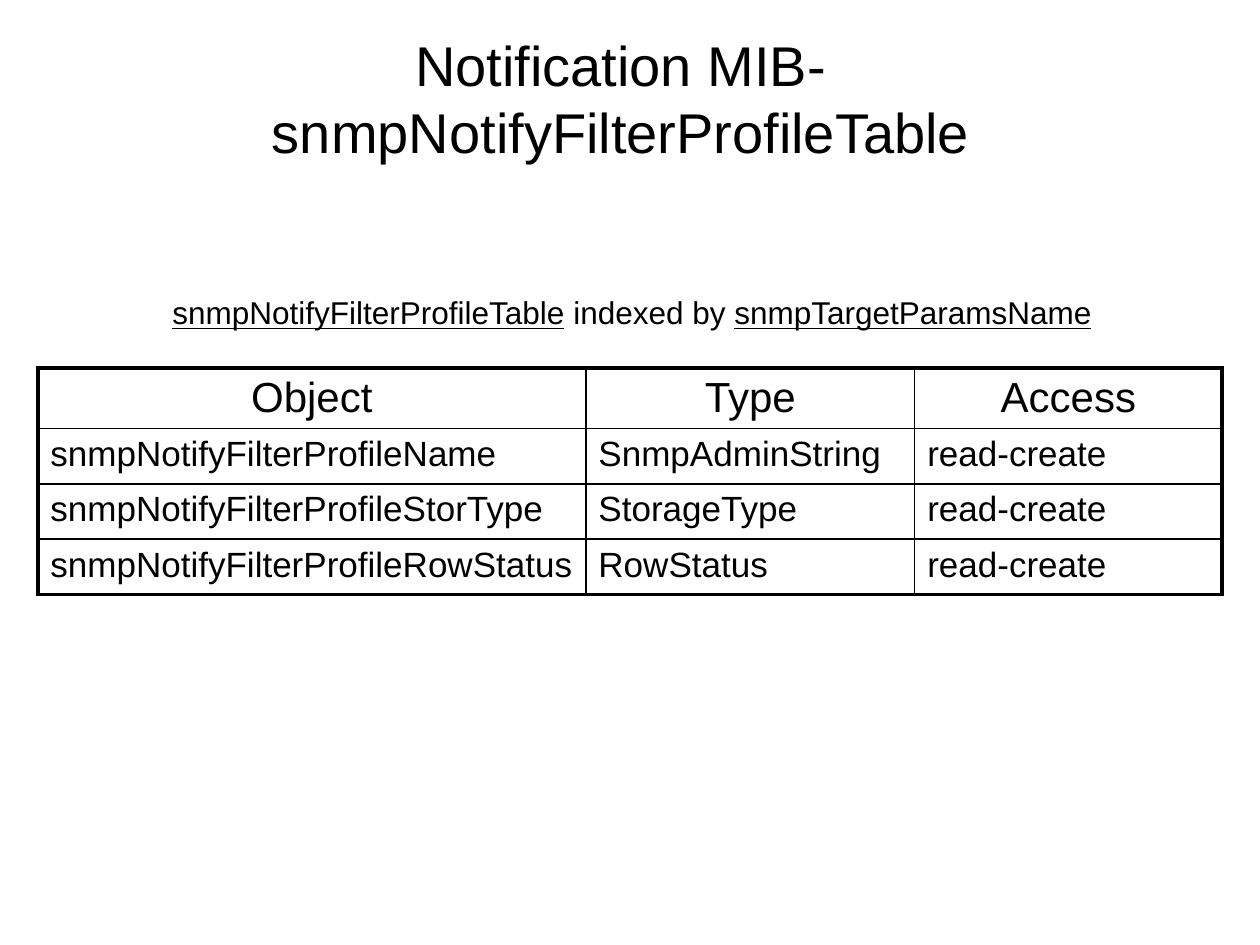
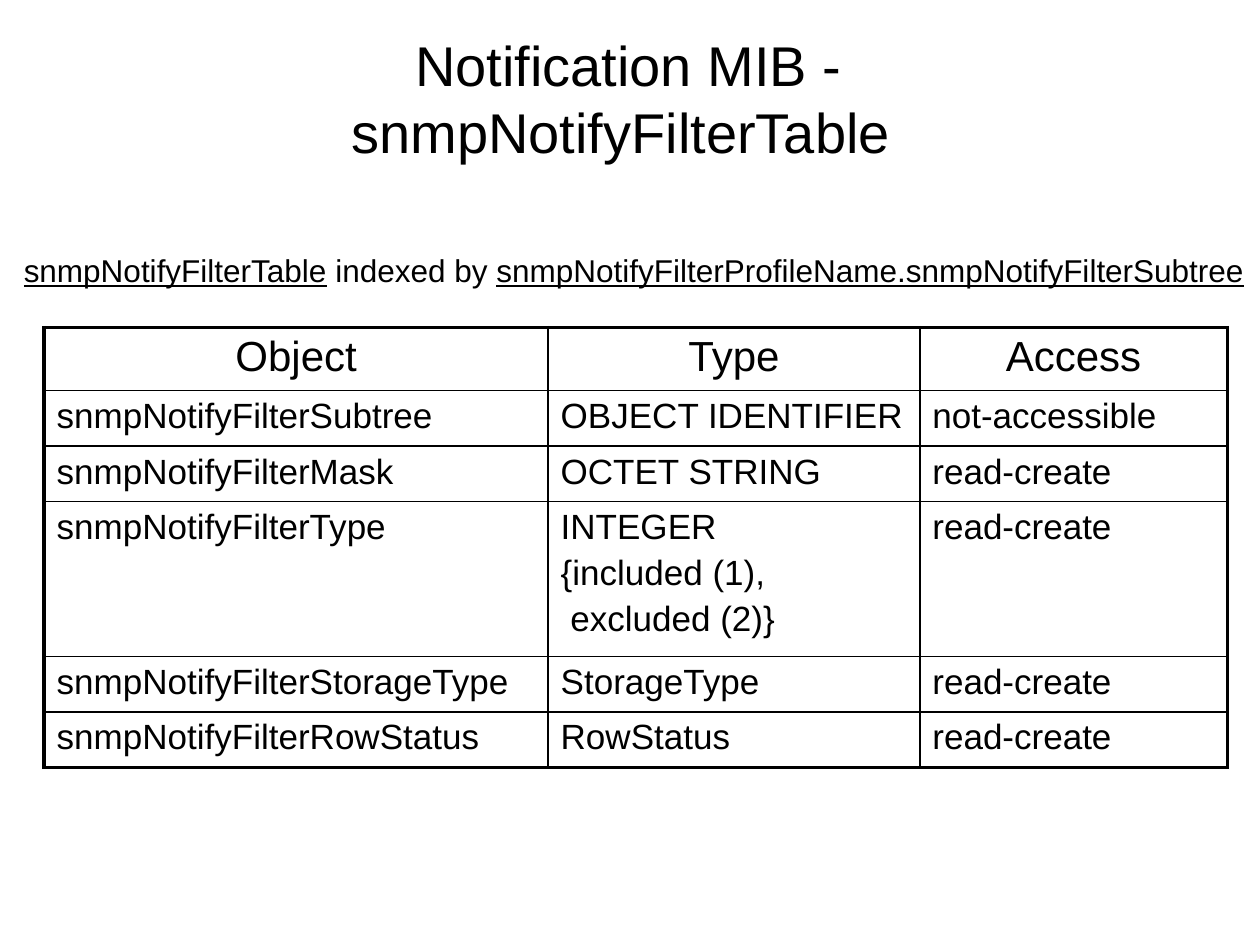
from lxml.etree import SubElement
from pptx import Presentation
from pptx.dml.color import RGBColor
from pptx.enum.text import MSO_ANCHOR, MSO_AUTO_SIZE, PP_ALIGN
from pptx.oxml.ns import qn
from pptx.util import Inches, Pt

BLACK = RGBColor(0, 0, 0)
FONT = "Arial"
TITLE_SIZE, HEADER_SIZE, BODY_SIZE, CAPTION_SIZE = 32, 24, 20, 18
OUTER_LINE, INNER_LINE = Pt(2.25), Pt(1)
HEADER = ("Object", "Type", "Access")

# The caption holds the table name and its index, which are both underlined.
PAGES = [
    {
        "title": "Notification MIB- \vsnmpNotifyFilterProfileTable ",
        "caption": ("snmpNotifyFilterProfileTable", "snmpTargetParamsName"),
        "caption_at": (1.27, 2.28, 7.55, 0.4),
        "table_at": (0.3, 2.92),
        "columns": (4.35, 2.61, 2.44),
        "heights": (0.48, 0.44, 0.44, 0.44),
        "rows": [
            ("snmpNotifyFilterProfileName", "SnmpAdminString", "read-create"),
            ("snmpNotifyFilterProfileStorType", "StorageType", "read-create"),
            ("snmpNotifyFilterProfileRowStatus", "RowStatus", "read-create"),
        ],
    },
    {
        "title": "Notification MIB -\vsnmpNotifyFilterTable ",
        "caption": ("snmpNotifyFilterTable",
                    "snmpNotifyFilterProfileName.snmpNotifyFilterSubtree"),
        "caption_at": (0.09, 1.94, 9.91, 0.4),
        "table_at": (0.35, 2.6),
        "columns": (4, 2.95, 2.44),
        "heights": (0.5, 0.44, 0.44, 1.23, 0.44, 0.44),
        "rows": [
            ("snmpNotifyFilterSubtree", "OBJECT IDENTIFIER", "not-accessible"),
            ("snmpNotifyFilterMask", "OCTET STRING", "read-create"),
            ("snmpNotifyFilterType",
             "INTEGER\n{included (1),\n excluded (2)}", "read-create"),
            ("snmpNotifyFilterStorageType", "StorageType", "read-create"),
            ("snmpNotifyFilterRowStatus", "RowStatus", "read-create"),
        ],
    },
]


def style_text(paragraph, size):
    """Give every run of a paragraph the deck's font and colour."""
    for span in paragraph.runs:
        span.font.name = FONT
        span.font.size = Pt(size)
        span.font.color.rgb = BLACK


def add_borders(cell, outer_sides):
    """Draw the four cell borders, thicker on the sides at the table's edge."""
    properties = cell._tc.get_or_add_tcPr()
    for position, side in enumerate(("L", "R", "T", "B")):
        width = OUTER_LINE if side in outer_sides else INNER_LINE
        line = SubElement(properties, qn(f"a:ln{side}"), w=str(int(width)))
        fill = SubElement(line, qn("a:solidFill"))
        SubElement(fill, qn("a:srgbClr"), val=str(BLACK))
        properties.insert(position, line)


deck = Presentation()
deck.slide_width, deck.slide_height = Inches(10), Inches(7.5)
title_only = deck.slide_layouts[5]

for content in PAGES:
    page = deck.slides.add_slide(title_only)

    title = page.shapes.title
    title.left, title.top = Inches(0.49), Inches(0.15)
    title.width, title.height = Inches(9), Inches(1.25)
    title.text_frame.text = content["title"]
    title.text_frame.auto_size = MSO_AUTO_SIZE.NONE
    title.text_frame.vertical_anchor = MSO_ANCHOR.MIDDLE
    title.text_frame.paragraphs[0].alignment = PP_ALIGN.CENTER
    style_text(title.text_frame.paragraphs[0], TITLE_SIZE)

    rows = [HEADER, *content["rows"]]
    left, top = content["table_at"]
    frame = page.shapes.add_table(
        len(rows), len(HEADER), Inches(left), Inches(top),
        Inches(sum(content["columns"])), Inches(sum(content["heights"])))
    table = frame.table
    table.first_row = table.horz_banding = False
    for column, width in zip(table.columns, content["columns"]):
        column.width = Inches(width)
    for row, height in zip(table.rows, content["heights"]):
        row.height = Inches(height)

    for row_index, values in enumerate(rows):
        size = BODY_SIZE if row_index else HEADER_SIZE
        for column_index, value in enumerate(values):
            cell = table.cell(row_index, column_index)
            cell.fill.background()
            cell.text_frame.text = value
            for paragraph in cell.text_frame.paragraphs:
                paragraph.space_before = Pt(size * 0.2)
                paragraph.alignment = PP_ALIGN.LEFT if row_index else PP_ALIGN.CENTER
                style_text(paragraph, size)
            edges = {
                "L": column_index == 0,
                "R": column_index == len(HEADER) - 1,
                "T": row_index == 0,
                "B": row_index == len(rows) - 1,
            }
            add_borders(cell, [side for side, at_edge in edges.items() if at_edge])

    box = page.shapes.add_textbox(*map(Inches, content["caption_at"]))
    box.text_frame.word_wrap = False
    box.text_frame.auto_size = MSO_AUTO_SIZE.SHAPE_TO_FIT_TEXT
    caption = box.text_frame.paragraphs[0]
    table_name, index_name = content["caption"]
    for words in (table_name, " indexed by ", index_name):
        span = caption.add_run()
        span.text = words
        span.font.underline = words in content["caption"]
    style_text(caption, CAPTION_SIZE)

deck.save("out.pptx")
